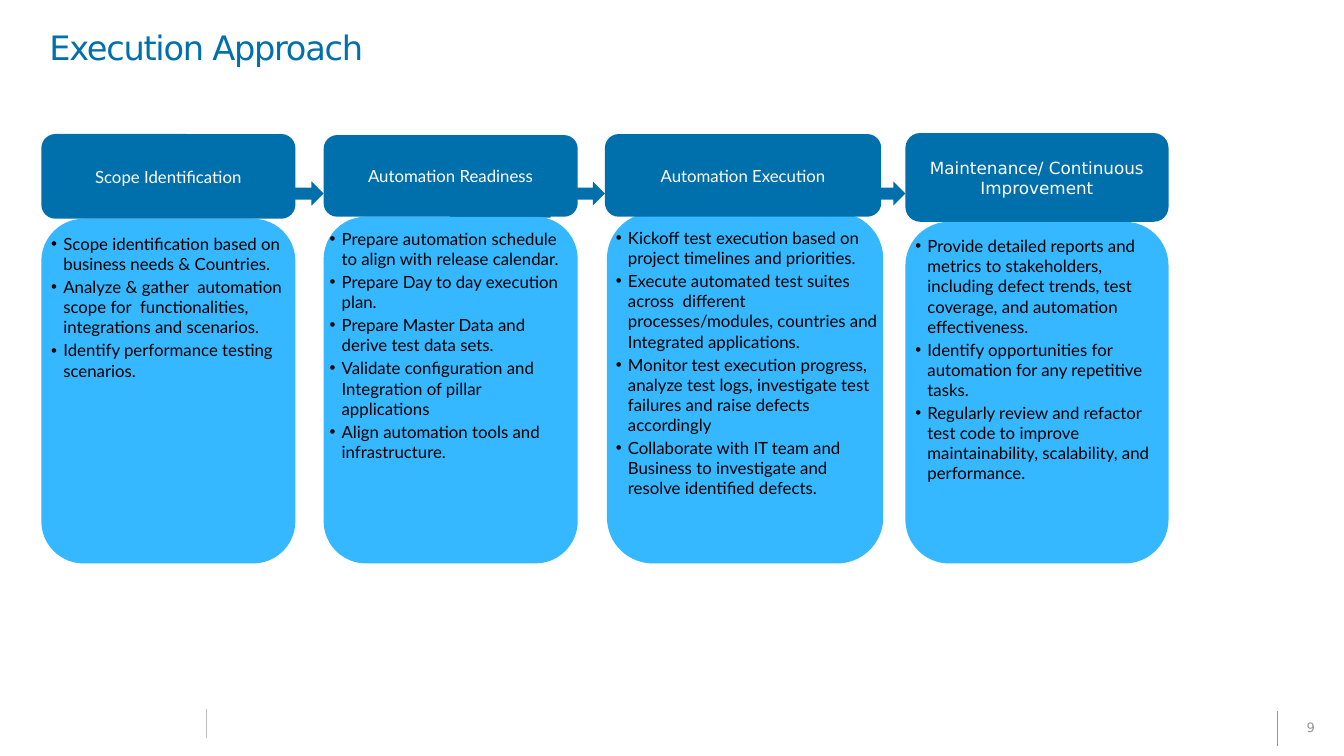
from pptx import Presentation
from pptx.dml.color import RGBColor
from pptx.enum.shapes import MSO_CONNECTOR as Connector, MSO_SHAPE as Shape
from pptx.enum.text import MSO_ANCHOR as Anchor, PP_ALIGN as Align
from pptx.oxml.ns import qn
from pptx.util import Inches, Pt
from lxml.etree import SubElement

BLUE = RGBColor(0x00, 0x70, 0xAD)
SKY = RGBColor(0x35, 0xB8, 0xFF)
WHITE = RGBColor(0xFF, 0xFF, 0xFF)
BLACK = RGBColor(0x00, 0x00, 0x00)
GREY = RGBColor(0x96, 0x96, 0x96)
LIGHT_GREY = RGBColor(0xBF, 0xBF, 0xBF)
SANS, LATO = "DejaVu Sans", "Lato"

TITLE = "Execution Approach"
PAGE_NUMBER = "9"
STAGES = [
    dict(title="Scope Identification", font=LATO, header=(0.41, 1.33, 2.52, 0.84),
         body=(0.41, 2.17), text=(0.41, 2.27, 2.52), points=[
             "Scope identification based on business needs & Countries.",
             "Analyze & gather  automation scope for  functionalities, integrations and scenarios.",
             "Identify performance testing scenarios."]),
    dict(title="Automation Readiness", font=LATO, header=(3.21, 1.34, 2.52, 0.81),
         body=(3.21, 2.15), text=(3.17, 2.22, 2.61), points=[
             "Prepare automation schedule to align with release calendar.",
             "Prepare Day to day execution plan.",
             "Prepare Master Data and derive test data sets.",
             "Validate configuration and Integration of pillar applications",
             "Align automation tools and infrastructure."]),
    dict(title="Automation Execution", font=LATO, header=(6, 1.33, 2.74, 0.82),
         body=(6.02, 2.11), text=(6.01, 2.21, 2.8), points=[
             "Kickoff test execution based on project timelines and priorities.",
             "Execute automated test suites across  different processes/modules, "
             "countries and Integrated applications.",
             "Monitor test execution progress, analyze test logs, investigate test "
             "failures and raise defects accordingly",
             "Collaborate with IT team and Business to investigate and resolve "
             "identified defects."]),
    dict(title="Maintenance/ Continuous Improvement", font=SANS, header=(8.98, 1.32, 2.61, 0.88),
         body=(8.98, 2.2), text=(8.98, 2.29, 2.61), points=[
             "Provide detailed reports and metrics to stakeholders, including defect "
             "trends, test coverage, and automation effectiveness.",
             "Identify opportunities for automation for any repetitive tasks.",
             "Regularly review and refactor test code to improve maintainability, "
             "scalability, and performance."]),
]
BODY_BOTTOM, TEXT_HEIGHT = 5.59, 3.1
ARROW_MIDDLE, ARROW_THICKNESS, ARROW_SHARE = 1.92, 0.48, 0.61
FOOTER_LINES = [(12.67, 7.05, 7.4, GREY, 0.75), (2.05, 7.03, 7.32, LIGHT_GREY, 1)]

presentation = Presentation()
presentation.slide_width, presentation.slide_height = Inches(13.33), Inches(7.5)
slide = presentation.slides.add_slide(presentation.slide_layouts[6])


def write(shape, lines, *, font=LATO, size=12, color=BLACK, align=Align.LEFT,
          anchor=Anchor.TOP, insets=(0.1, 0.05, 0.1, 0.05), line_spacing=None,
          before=0, letter_spacing=None, bullet=False):
    frame = shape.text_frame
    frame.word_wrap = True
    frame.vertical_anchor = anchor
    frame.margin_left, frame.margin_top, frame.margin_right, frame.margin_bottom = map(Inches, insets)
    for index, line in enumerate(lines):
        paragraph = frame.add_paragraph() if index else frame.paragraphs[0]
        paragraph.alignment = align
        paragraph.space_before = Pt(before)
        if line_spacing:
            paragraph.line_spacing = line_spacing
        run = paragraph.add_run()
        run.text = line
        run.font.name, run.font.size = font, Pt(size)
        run.font.color.rgb = color
        if letter_spacing:
            run.font._element.set("spc", str(round(letter_spacing * 100)))
        if bullet:
            properties = paragraph._p.get_or_add_pPr()
            properties.set("marL", str(Inches(0.12)))
            properties.set("indent", str(Inches(-0.12)))
            SubElement(properties, qn("a:buFont")).set("typeface", "Arial")
            SubElement(properties, qn("a:buChar")).set("char", "•")


def add_box(kind, left, top, width, height, color):
    shape = slide.shapes.add_shape(kind, *map(Inches, (left, top, width, height)))
    shape.shadow.inherit = False
    shape.fill.solid()
    shape.fill.fore_color.rgb = color
    shape.line.fill.background()
    return shape


def add_text(left, top, width, height, lines, **text_format):
    box = slide.shapes.add_textbox(*map(Inches, (left, top, width, height)))
    write(box, lines, **text_format)


def add_arrow(start, tip):
    length = start["header"][2] * ARROW_SHARE
    arrow = add_box(Shape.DOWN_ARROW_CALLOUT, tip - (length + ARROW_THICKNESS) / 2,
                    ARROW_MIDDLE - length / 2, ARROW_THICKNESS, length, BLUE)
    arrow.rotation = 270


def add_stage(stage):
    left, top = stage["body"]
    header_width = stage["header"][2]
    add_box(Shape.ROUNDED_RECTANGLE, left, top, header_width, BODY_BOTTOM - top, SKY)
    header = add_box(Shape.ROUNDED_RECTANGLE, *stage["header"], BLUE)
    write(header, [stage["title"]], font=stage["font"], color=WHITE,
          align=Align.CENTER, anchor=Anchor.MIDDLE)
    add_text(*stage["text"], TEXT_HEIGHT, stage["points"], before=2, bullet=True)


for x, top, bottom, color, width in FOOTER_LINES:
    line = slide.shapes.add_connector(Connector.STRAIGHT, *map(Inches, (x, top, x, bottom)))
    line.line.color.rgb = color
    line.line.width = Pt(width)
    SubElement(line._element.spPr, qn("a:effectLst"))

add_text(12.67, 7.05, 0.66, 0.35, [PAGE_NUMBER], font=SANS, size=9.3, color=GREY,
         align=Align.CENTER, anchor=Anchor.MIDDLE, line_spacing=0.85)
add_text(0.21, 0.3, 12.91, 0.63, [TITLE], font=SANS, size=24, color=BLUE,
         insets=(0.28, 0.03, 0.15, 0.03), line_spacing=0.85, letter_spacing=-0.9)

for stage, following in zip(STAGES, STAGES[1:]):
    add_arrow(stage, following["header"][0])
for stage in STAGES:
    add_stage(stage)

presentation.save("out.pptx")
